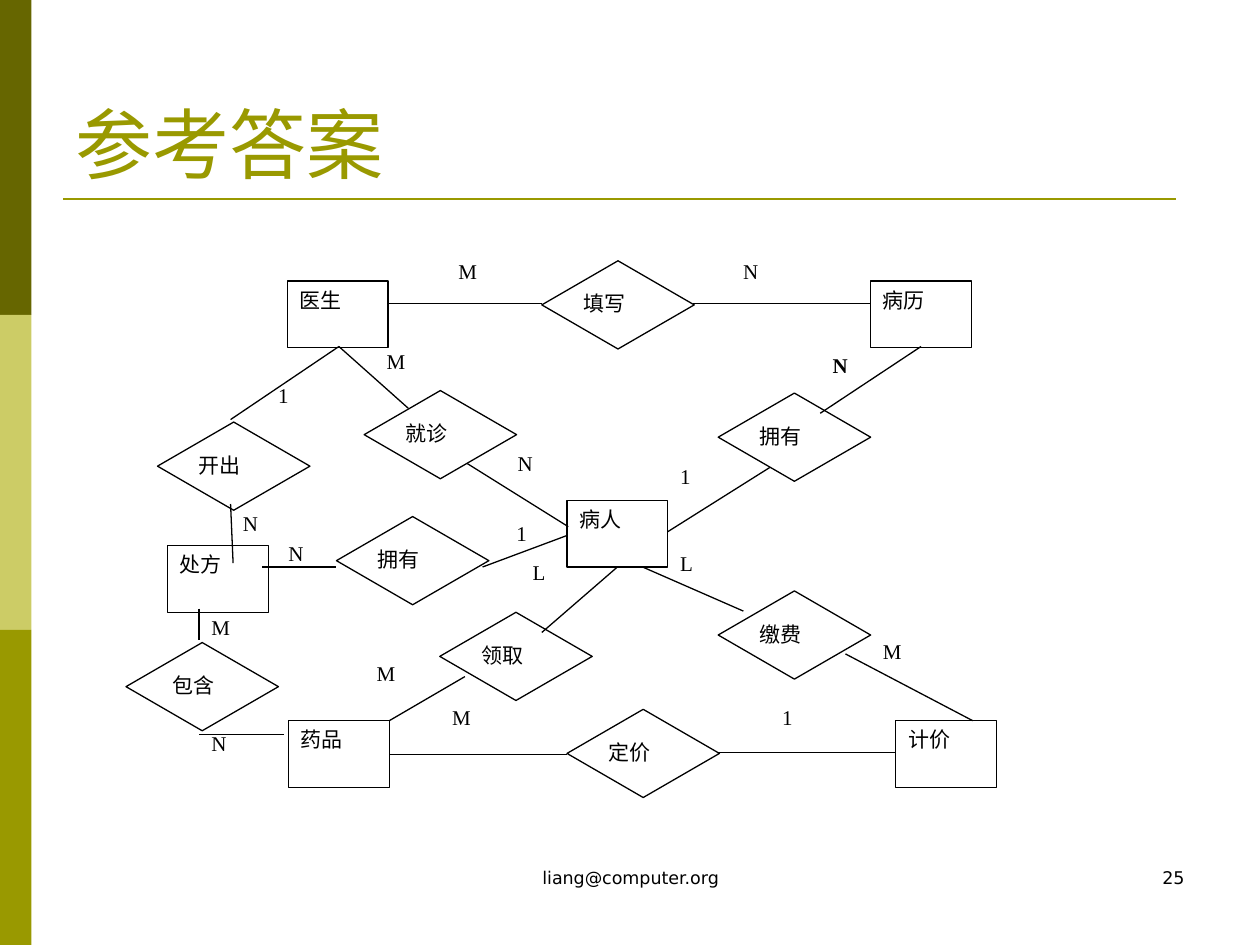
import pptx
import pptx.dml.color
import pptx.enum.shapes
import pptx.enum.text
import pptx.oxml.ns
import pptx.util
from lxml import etree

PX = 9144  # EMU per px, 100 px to the inch
COLORS = {"dark": "666600", "light": "CCCC66", "olive": "999900",
          "white": "FFFFFF", "black": "000000"}
SERIF, SANS = "Times New Roman", "DejaVu Sans"
SHAPE = pptx.enum.shapes.MSO_SHAPE
ALIGN = pptx.enum.text.PP_ALIGN
ANCHOR = pptx.enum.text.MSO_ANCHOR

ENTITY_SIZE = (80, 53)
DIAMOND_SIZE = (121, 70)
LABEL_SIZE = (80, 51)

ENTITIES = [("医生", 228, 223), ("病人", 450, 397), ("病历", 691, 223),
            ("计价", 711, 572), ("药品", 229, 572), ("处方", 133, 433)]

# name, left, top, extra indent of the name
RELATIONS = [("就诊", 289, 310, 0), ("拥有", 570, 312, 0), ("领取", 349, 486, 0),
             ("缴费", 570, 469, 0), ("填写", 430, 207, 0), ("定价", 450, 563, 0),
             ("开出", 125, 335, 0), ("包含", 100, 510, 4), ("拥有", 267, 410, 0)]

LINKS = [(269, 275, 324, 324), (371, 368, 451, 418), (530, 422, 611, 371),
         (651, 328, 731, 275), (490, 450, 430, 502), (369, 537, 309, 572),
         (510, 450, 590, 485), (671, 519, 772, 572), (309, 241, 430, 241),
         (550, 241, 691, 241), (309, 599, 450, 599), (570, 597, 711, 597),
         (269, 275, 183, 333), (183, 400, 185, 447), (158, 483, 158, 508),
         (158, 583, 225, 583), (208, 450, 267, 450), (383, 450, 450, 425)]

CARDINALITIES = [("M", 354, 200), ("N", 580, 200), ("M", 297, 272), ("N", 401, 353),
                 ("1", 530, 363), ("1", 211, 299), ("M", 158, 483), ("M", 289, 519),
                 ("L", 413, 439), ("L", 530, 432), ("M", 691, 502), ("M", 349, 554),
                 ("1", 611, 554), ("N", 158, 575), ("N", 183, 400), ("1", 400, 408),
                 ("N", 219, 424)]


def emu(*lengths):
    return [pptx.util.Emu(n * PX) for n in lengths]


def rgb(name):
    return pptx.dml.color.RGBColor.from_string(COLORS[name])


def write(sp, text, size=12, font=SERIF, color="black", bold=False,
          align=ALIGN.LEFT, anchor=ANCHOR.TOP, indent=0):
    tf = sp.text_frame
    tf.word_wrap = True
    tf.vertical_anchor = anchor
    tf.margin_left, tf.margin_right, tf.margin_top, tf.margin_bottom = emu(
        10 + indent, 10, 5, 5)
    p = tf.paragraphs[0]
    p.alignment = align
    r = p.add_run()
    r.text = text
    r.font.size = pptx.util.Pt(size)
    r.font.name = font
    r.font.bold = bold
    r.font.color.rgb = rgb(color)


def add_box(shapes, kind, box, fill, line=None):
    sp = shapes.add_shape(kind, *emu(*box))
    sp.shadow.inherit = False
    sp.fill.solid()
    sp.fill.fore_color.rgb = rgb(fill)
    if line:
        sp.line.color.rgb = rgb(line)
        sp.line.width = pptx.util.Pt(0.75)
    else:
        sp.line.fill.background()
    return sp


def add_text(shapes, text, box, **style):
    write(shapes.add_textbox(*emu(*box)), text, **style)


def add_line(shapes, ends, color="black", width=0.75):
    line = shapes.add_connector(pptx.enum.shapes.MSO_CONNECTOR.STRAIGHT, *emu(*ends))
    line.line.color.rgb = rgb(color)
    line.line.width = pptx.util.Pt(width)
    sp_pr = line._element.find(pptx.oxml.ns.qn("p:spPr"))
    etree.SubElement(sp_pr, pptx.oxml.ns.qn("a:effectLst"))


def add_entity(shapes, name, x, y):
    sp = add_box(shapes, SHAPE.RECTANGLE, (x, y, *ENTITY_SIZE), "white", "black")
    write(sp, name)


def add_relation(shapes, name, x, y, indent):
    """Group a diamond with the text box that holds its name."""
    group = shapes.add_group_shape().shapes
    add_box(group, SHAPE.DIAMOND, (x, y, *DIAMOND_SIZE), "white", "black")
    add_text(group, name, (x + 23, y - 1, 82, 70), anchor=ANCHOR.MIDDLE, indent=indent)


def add_frame(s):
    """Side bands, title with its rule, and footer."""
    for i, color in enumerate(("dark", "light", "olive")):
        add_box(s.shapes, SHAPE.RECTANGLE, (0, 250 * i, 25, 250), color)
    add_line(s.shapes, (50, 158, 933, 158), "olive", 1.5)
    title = s.shapes.title
    title.left, title.top, title.width, title.height = emu(50, 30, 900, 125)
    write(title, "参考答案", size=44, color="olive", anchor=ANCHOR.BOTTOM)
    add_text(s.shapes, "liang@computer.org", (342, 683, 317, 50),
             size=10, font=SANS, align=ALIGN.CENTER)
    add_text(s.shapes, "25", (717, 683, 233, 50),
             size=10, font=SANS, align=ALIGN.RIGHT)


def main():
    prs = pptx.Presentation()
    prs.slide_width, prs.slide_height = emu(1000, 750)
    s = prs.slides.add_slide(prs.slide_layouts[5])
    add_frame(s)
    for entity in ENTITIES:
        add_entity(s.shapes, *entity)
    for relation in RELATIONS:
        add_relation(s.shapes, *relation)
    for ends in LINKS:
        add_line(s.shapes, ends)
    for text, x, y in CARDINALITIES:
        add_text(s.shapes, text, (x, y, *LABEL_SIZE))
    add_text(s.shapes, "N", (651, 275, *LABEL_SIZE), bold=True)
    prs.save("out.pptx")


if __name__ == "__main__":
    main()
